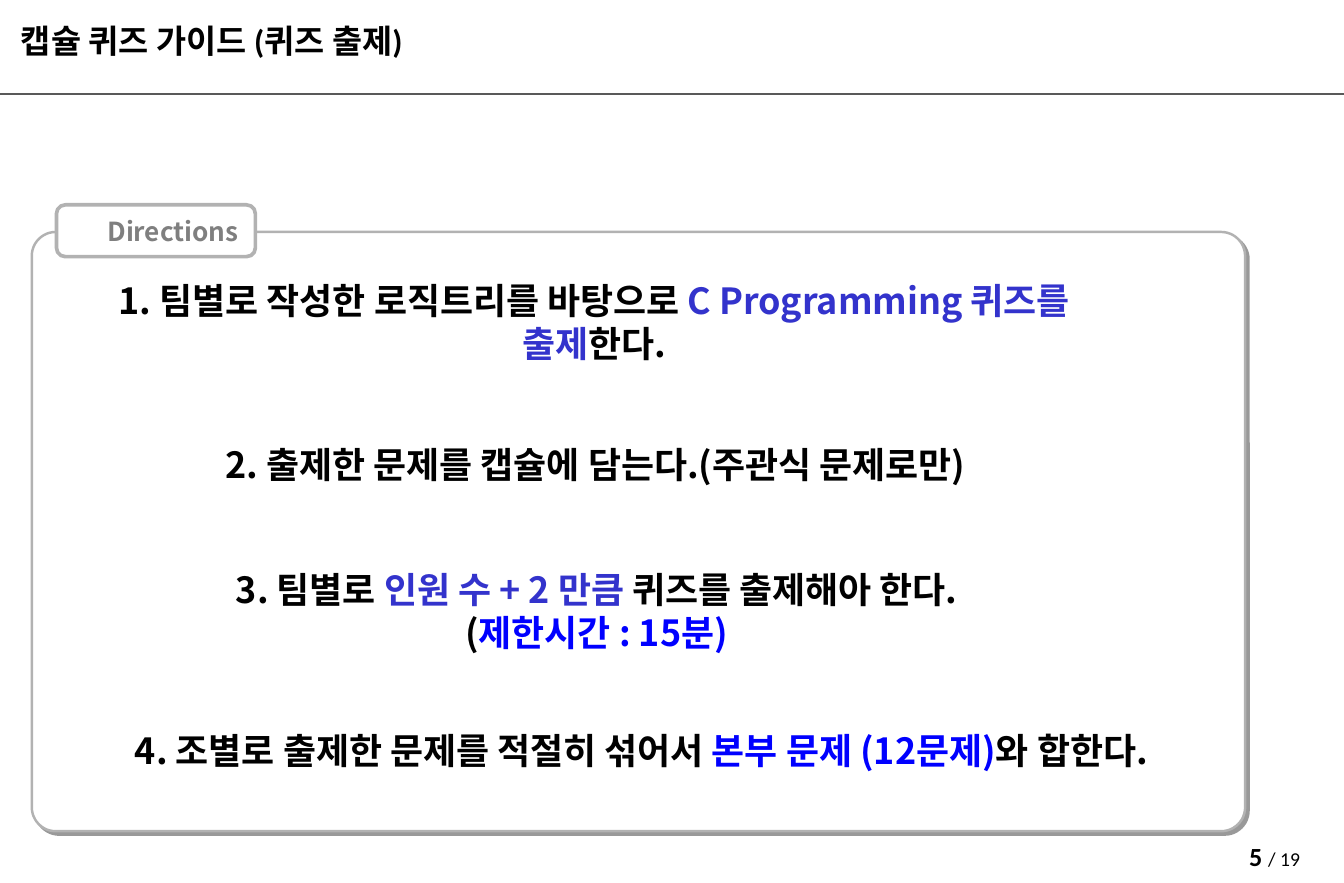
import pptx
import pptx.util
import pptx.dml.color
import pptx.enum.shapes
import pptx.enum.text
import pptx.oxml
import pptx.oxml.ns
import lxml.etree

PX = 9144
COLORS = {
    "black": "000000",
    "white": "FFFFFF",
    "rule": "595959",
    "border": "B2B2B2",
    "label": "7F7F7F",
    "indigo": "3333CC",
    "blue": "0000FF",
}
KOREAN = "Noto Sans CJK KR"
ALIGN = pptx.enum.text.PP_ALIGN
ANCHOR = pptx.enum.text.MSO_ANCHOR
QN = pptx.oxml.ns.qn


def px(*lengths):
    """Turn px lengths into EMU."""
    return [pptx.util.Emu(n * PX) for n in lengths]


def rgb(name):
    """Look up a named colour."""
    return pptx.dml.color.RGBColor.from_string(COLORS[name])


def write(sp, text, size=22, font=KOREAN, color="black", bold=True,
          align=ALIGN.CENTER, anchor=ANCHOR.MIDDLE, wrap=True, pad=5):
    """Fill a shape with paragraphs of runs, each run being text and overrides."""
    tf = sp.text_frame
    tf.word_wrap = wrap
    tf.vertical_anchor = anchor
    tf.margin_left, tf.margin_top, tf.margin_right, tf.margin_bottom = px(10, pad, 10, pad)
    for i, runs in enumerate(text):
        p = tf.paragraphs[0] if i == 0 else tf.add_paragraph()
        p.alignment = align
        for words, own in runs:
            r = p.add_run()
            r.text = words
            r.font.name = font
            r.font.size = pptx.util.Pt(own.get("size", size))
            r.font.bold = own.get("bold", bold)
            r.font.color.rgb = rgb(own.get("color", color))
            ea = pptx.oxml.parse_xml(
                f'<a:ea {pptx.oxml.ns.nsdecls("a")} typeface="{KOREAN}"/>')
            r.font._element.find(QN("a:latin")).addnext(ea)
    return tf


def add_text(s, box, text, **fmt):
    """Add a text box in the given box."""
    return write(s.shapes.add_textbox(*px(*box)), text, **fmt)


def add_panel(s, box, radius, width):
    """Add a white rounded panel with a grey border."""
    sp = s.shapes.add_shape(
        pptx.enum.shapes.MSO_SHAPE.ROUNDED_RECTANGLE, *px(*box))
    sp.adjustments[0] = radius
    sp.fill.solid()
    sp.fill.fore_color.rgb = rgb("white")
    sp.line.color.rgb = rgb("border")
    sp.line.width = pptx.util.Pt(width)
    sp.shadow.inherit = False
    return sp


def header(s, box):
    """Place the slide title and the rule below it."""
    x, y, w, h = box
    rule = s.shapes.add_connector(
        pptx.enum.shapes.MSO_CONNECTOR.STRAIGHT, *px(x, y + h, x + w, y + h))
    rule.line.color.rgb = rgb("rule")
    rule.line.width = pptx.util.Pt(1.5)
    lxml.etree.SubElement(rule._element.spPr, QN("a:effectLst"))
    add_text(s, (x + 8, y + 9, 511, 44), [[("캡슐 퀴즈 가이드 (퀴즈 출제)", {})]],
             size=20, font="Calibri", align=ALIGN.LEFT, anchor=ANCHOR.BOTTOM, pad=2)


def directions(s, box):
    """Place the shadowed panel, its label and the numbered steps."""
    x, y, w, h = box
    panel = add_panel(s, box, 0.04, 1.5)
    panel._element.spPr.find(QN("a:effectLst")).append(pptx.oxml.parse_xml(
        f'<a:outerShdw {pptx.oxml.ns.nsdecls("a")} blurRad="0" dist="38100" '
        'dir="2700000" algn="tl" rotWithShape="0">'
        f'<a:srgbClr val="{COLORS["black"]}"><a:alpha val="40000"/></a:srgbClr>'
        '</a:outerShdw>'))

    label = add_panel(s, (x + 21, y - 23, 169, 44), 0.17, 2.25)
    tf = write(label, [[("Directions", {})]], size=16, color="label", wrap=False)
    pPr = tf.paragraphs[0]._p.get_or_add_pPr()
    pPr.set("marL", str(39 * PX))
    pPr.set("indent", str(-10 * PX))

    indigo, blue = {"color": "indigo"}, {"color": "blue"}
    steps = [
        (8, 50, [[("1. 팀별로 작성한 로직트리를 바탕으로 ", {}),
                  ("C Programming 퀴즈를 출제", indigo), ("한다.", {})]]),
        (9, 171, [[("2. 출제한 문제를 캡슐에 담는다.(주관식 문제로만)", {})]]),
        (10, 295, [[("3. 팀별로 ", {}), ("인원 수 + 2 만큼 ", indigo),
                    ("퀴즈를 출제해아 한다.", {})],
                   [("(", {}), ("제한시간 : 15분)", blue)]]),
        (48, 414, [[("4. 조별로 출제한 문제를 적절히 섞어서 ", {}),
                    ("본부 문제 (12문제)", blue), ("와 합한다.", {})]]),
    ]
    for dx, dy, text in steps:
        add_text(s, (x + dx, y + dy, 940, 53), text)


def page_number(s, box):
    """Place the page number and the page count."""
    add_text(s, box, [[("5 ", {}), ("/ 19", {"size": 12, "bold": False})]],
             size=16, font="Calibri", anchor=ANCHOR.TOP)


def main():
    """Build the slide and save it."""
    prs = pptx.Presentation()
    prs.slide_width, prs.slide_height = px(1142, 750)
    s = prs.slides.add_slide(prs.slide_layouts[6])
    page_number(s, (886, 709, 394, 24))
    header(s, (0, 0, 1142, 80))
    directions(s, (27, 197, 1031, 509))
    prs.save("out.pptx")


if __name__ == "__main__":
    main()
